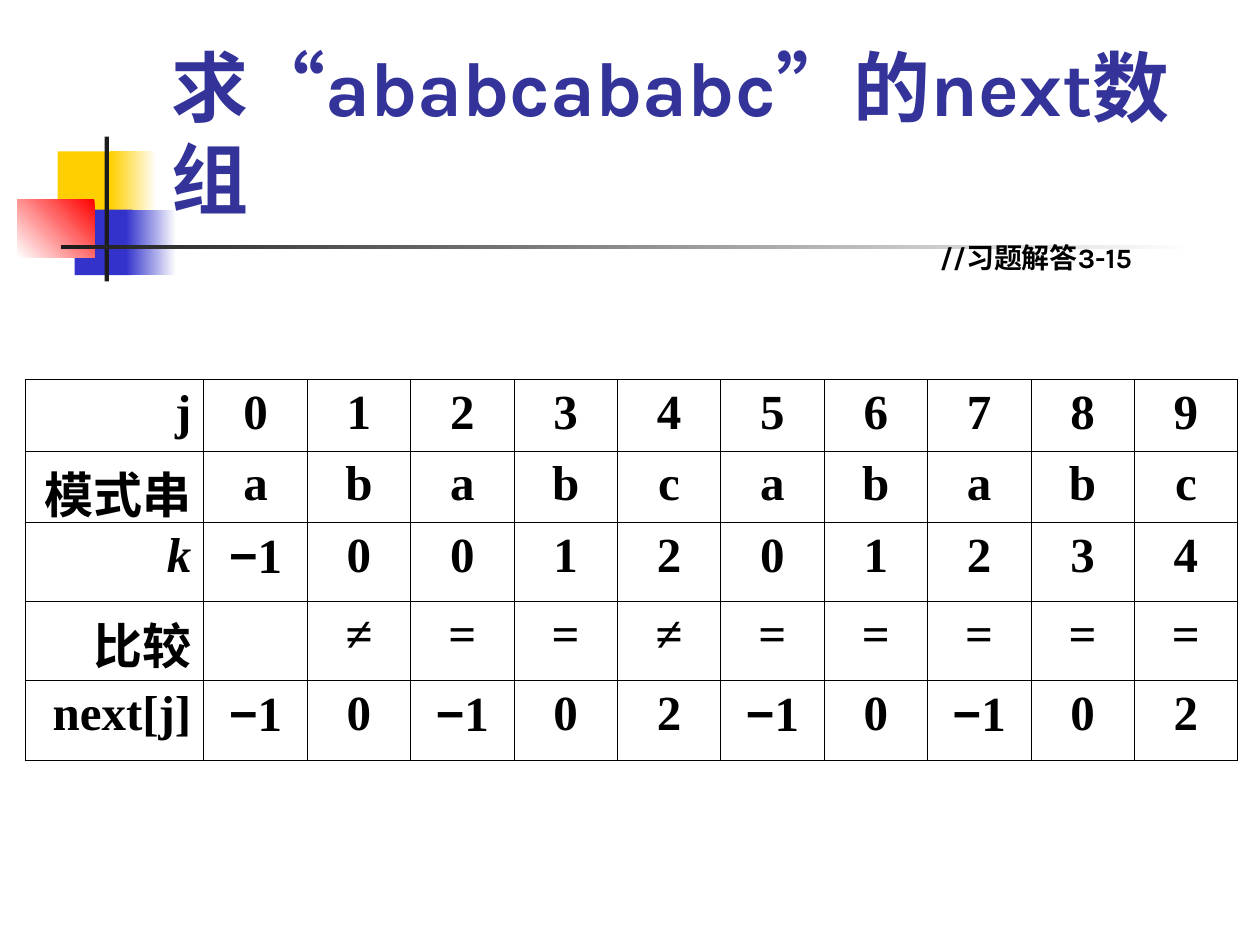
"""Slide with the worked next array of the string ababcababc."""
from lxml import etree
from pptx import Presentation
from pptx import util as u
from pptx.dml.color import RGBColor
from pptx.enum import lang, shapes, text
from pptx.oxml import ns

WHITE = RGBColor(0xFF, 0xFF, 0xFF)
BLACK = RGBColor(0, 0, 0)
YELLOW = RGBColor(0xFF, 0xCF, 0x01)
BLUE = RGBColor(0x33, 0x33, 0xCC)
RED = RGBColor(0xFF, 0, 0)
CHARCOAL = RGBColor(0x1C, 0x1C, 0x1C)
INDIGO = RGBColor(0x33, 0x33, 0x99)

ROWS = [
    ["j", *"0123456789"],
    ["模式串", *"ababcababc"],
    ["k", "−1", *"001201234"],
    ["比较", "", *"≠==≠====="],
    ["next[j]", "−1", "0", "−1", "0", "2", "−1", "0", "−1", "0", "2"],
]
ROW_HEIGHTS = [41, 41, 45.2, 45.2, 45.2]
LABEL_WIDTH, VALUE_WIDTH = 102.3, 59.1


def write(paragraph, content, *, font, size, color=BLACK, italic=False):
    run = paragraph.add_run()
    run.text = content
    run.font.name = font
    run.font.size = u.Pt(size)
    run.font.bold = True
    run.font.italic = italic
    run.font.color.rgb = color
    run.font.language_id = lang.MSO_LANGUAGE_ID.SIMPLIFIED_CHINESE


class Board:
    heading_font = "Karla"
    table_font = "Times New Roman"
    minus_font = "Arial"
    table_size = 28
    border_width = 0.45

    def __init__(self, slide):
        self.slide = slide

    def block(self, left, top, width, height, color, fade_to=None, angle=0):
        bar = self.slide.shapes.add_shape(
            shapes.MSO_SHAPE.RECTANGLE, *map(u.Pt, (left, top, width, height)))
        bar.shadow.inherit = False
        bar.line.fill.background()
        if fade_to is None:
            bar.fill.solid()
            bar.fill.fore_color.rgb = color
        else:
            bar.fill.gradient()
            bar.fill.gradient_angle = angle
            for stop, shade in zip(bar.fill.gradient_stops, (color, fade_to)):
                stop.color.rgb = shade

    def heading(self, left, top, width, height, content, size, color, anchor):
        box = self.slide.shapes.add_textbox(*map(u.Pt, (left, top, width, height)))
        frame = box.text_frame
        frame.word_wrap = True
        frame.vertical_anchor = anchor
        write(frame.paragraphs[0], content, font=self.heading_font, size=size, color=color)

    def border(self, cell):
        properties = cell._tc.get_or_add_tcPr()
        for side in ("lnL", "lnR", "lnT", "lnB"):
            edge = etree.SubElement(properties, ns.qn(f"a:{side}"), w=str(u.Pt(self.border_width)))
            paint = etree.SubElement(edge, ns.qn("a:solidFill"))
            etree.SubElement(paint, ns.qn("a:srgbClr"), val=str(BLACK))

    def cell(self, cell, content, align, italic):
        self.border(cell)
        cell.fill.background()
        paragraph = cell.text_frame.paragraphs[0]
        paragraph.alignment = align
        sign = "−" if content.startswith("−") else ""
        for part, font in ((sign, self.minus_font),
                           (content.removeprefix("−"), self.table_font)):
            if part:
                write(paragraph, part, font=font, size=self.table_size, italic=italic)

    def table(self, left, top, rows, widths, heights):
        grid = self.slide.shapes.add_table(
            len(rows), len(widths), u.Pt(left), u.Pt(top),
            u.Pt(sum(widths)), u.Pt(sum(heights))).table
        grid.first_row = grid.horz_banding = False
        for column, width in zip(grid.columns, widths):
            column.width = u.Pt(width)
        for r, (values, height) in enumerate(zip(rows, heights)):
            grid.rows[r].height = u.Pt(height)
            for c, value in enumerate(values):
                align = text.PP_ALIGN.CENTER if c else text.PP_ALIGN.RIGHT
                self.cell(grid.cell(r, c), value, align, value == "k")


def main():
    deck = Presentation()
    deck.slide_width, deck.slide_height = u.Pt(720), u.Pt(540)
    board = Board(deck.slides.add_slide(deck.slide_layouts[6]))

    board.block(33, 86.5, 34.5, 37.5, YELLOW)
    board.block(63.4, 86.5, 26, 37.5, WHITE, YELLOW, 180)
    board.block(42.7, 119.8, 33.2, 37.5, BLUE)
    board.block(72, 119.8, 28.8, 37.5, WHITE, BLUE, 180)
    board.block(10, 113.8, 44, 33.2, RED, WHITE, 225)
    board.block(59.8, 78, 2.5, 82.8, CHARCOAL)
    board.block(34.6, 140.1, 648, 2.5, WHITE, CHARCOAL, 180)

    board.heading(90.7, 65.5, 613.4, 66.2, "求“ababcababc”的next数组",
                  44, INDIGO, text.MSO_ANCHOR.BOTTOM)
    board.heading(530, 134, 172.8, 28, "//习题解答3-15",
                  16, BLACK, text.MSO_ANCHOR.TOP)

    widths = [LABEL_WIDTH] + [VALUE_WIDTH] * (len(ROWS[0]) - 1)
    board.table(14.2, 216.7, ROWS, widths, ROW_HEIGHTS)
    deck.save("out.pptx")


if __name__ == "__main__":
    main()
